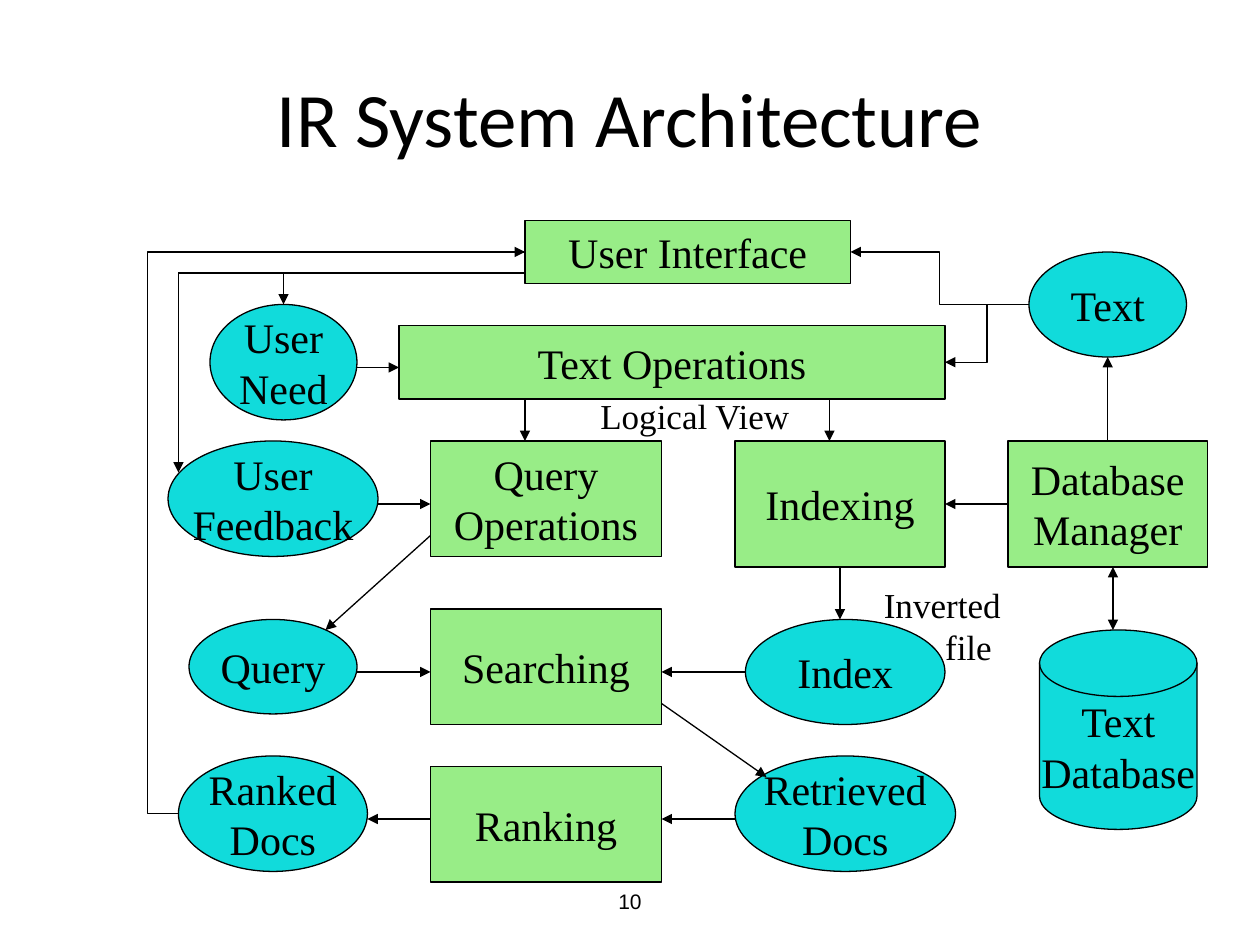
from pptx import Presentation
from pptx.dml.color import RGBColor
from pptx.enum.shapes import MSO_CONNECTOR as Route, MSO_SHAPE as Preset
from pptx.enum.text import MSO_ANCHOR as Anchor, PP_ALIGN as Align
from pptx.oxml.ns import qn
from pptx.util import Pt
from lxml.etree import SubElement

COLOURS = {"ink": "000000", "process": "98ED87", "data": "11DBDB"}
SERIF = "Times New Roman"


def colour(name):
    return RGBColor.from_string(COLOURS[name])


class Diagram:
    """Holds the style and the slide; every length is in points."""

    def __init__(self, page):
        self.page = page
        self.line_width = Pt(0.75)
        self.label = {"name": SERIF, "size": Pt(24)}

    def fill_text(self, frame, text, font, align, anchor, wrap, indents=()):
        frame.word_wrap = wrap
        frame.vertical_anchor = anchor
        for index, words in enumerate(text.split("\n")):
            para = frame.paragraphs[0] if index == 0 else frame.add_paragraph()
            para.alignment = align
            if index < len(indents):
                properties = para._p.get_or_add_pPr()
                properties.set("marL", str(int(Pt(indents[index]))))
                properties.set("indent", "0")
            span = para.add_run()
            span.text = words
            for key, value in font.items():
                setattr(span.font, key, value)
            span.font.color.rgb = colour("ink")

    def text(self, words, at, font, align=Align.CENTER, anchor=Anchor.MIDDLE,
             wrap=True, indents=()):
        box = self.page.shapes.add_textbox(*map(Pt, at))
        self.fill_text(box.text_frame, words, font, align, anchor, wrap, indents)

    def note(self, words, at, indents=()):
        self.text(words, at, {"name": SERIF, "size": Pt(20)}, Align.LEFT,
                  Anchor.TOP, False, indents)

    def node(self, preset, fill, words, at):
        shape = self.page.shapes.add_shape(preset, *map(Pt, at))
        shape.shadow.inherit = False
        shape.fill.solid()
        shape.fill.fore_color.rgb = colour(fill)
        shape.line.color.rgb = colour("ink")
        shape.line.width = self.line_width
        self.fill_text(shape.text_frame, words, self.label, Align.CENTER,
                       Anchor.MIDDLE, False)

    def process(self, words, *at):
        self.node(Preset.RECTANGLE, "process", words, at)

    def data(self, words, *at):
        self.node(Preset.OVAL, "data", words, at)

    def store(self, words, *at):
        self.node(Preset.FLOWCHART_MAGNETIC_DISK, "data", words, at)

    def link(self, *ends, heads=("tailEnd",), route=Route.STRAIGHT, bend=None):
        """Join two points; bend is the elbow's place as a share of the width."""
        link = self.page.shapes.add_connector(route, *map(Pt, ends))
        link.line.color.rgb = colour("ink")
        link.line.width = self.line_width
        properties = link._element.spPr
        for head in heads:
            SubElement(properties.find(qn("a:ln")), qn(f"a:{head}"), type="triangle")
        SubElement(properties, qn("a:effectLst"))
        if bend is not None:
            geometry = properties.find(qn("a:prstGeom"))
            guides = geometry.find(qn("a:avLst"))
            if guides is None:
                guides = SubElement(geometry, qn("a:avLst"))
            SubElement(guides, qn("a:gd"), name="adj1",
                       fmla=f"val {round(bend * 100000)}")

    def elbow(self, *ends, bend=0.5):
        self.link(*ends, route=Route.ELBOW, bend=bend)


def main():
    deck = Presentation()
    deck.slide_width, deck.slide_height = Pt(720), Pt(540)
    diagram = Diagram(deck.slides.add_slide(deck.slide_layouts[6]))

    diagram.text("10", (246, 500.5, 228, 28.75), {"name": "Arial", "size": Pt(12)})
    diagram.text("IR System Architecture", (36, 21.6, 648, 90),
                 {"name": "Calibri", "size": Pt(44)})

    diagram.store("Text\nDatabase", 594, 360, 90, 114)

    for words, *at in (
        ("User Interface", 300, 126, 186, 36),
        ("Text Operations", 228, 186, 312, 42),
        ("Query\nOperations", 246, 252, 132, 66),
        ("Searching", 246, 348, 132, 66),
        ("Ranking", 246, 438, 132, 66),
        ("Indexing", 420, 252, 120, 72),
        ("Database\nManager", 576, 252, 114, 72),
    ):
        diagram.process(words, *at)

    for words, *at in (
        ("User\nNeed", 120, 174, 84, 66),
        ("User\nFeedback", 96, 252, 120, 66),
        ("Query", 108, 354, 96, 54),
        ("Ranked\nDocs", 102, 432, 108, 66),
        ("Retrieved\nDocs", 420, 432, 126, 66),
        ("Index", 426, 354, 114, 60),
        ("Text", 588, 144, 90, 60),
    ):
        diagram.data(words, *at)

    for ends in (
        (204, 210, 228, 210),  # user need to text operations
        (300, 228, 300, 252),  # text operations to query operations
        (474, 228, 474, 252),  # text operations to indexing
        (216, 288, 246, 288),  # user feedback to query operations
        (246, 306, 186, 360),  # query operations to query
        (204, 384, 246, 384),  # query to searching
        (426, 384, 378, 384),  # index to searching
        (378, 402, 438, 444),  # searching to retrieved docs
        (420, 468, 378, 468),  # retrieved docs to ranking
        (246, 468, 210, 468),  # ranking to ranked docs
        (480, 324, 480, 354),  # indexing to index
        (576, 288, 540, 288),  # database manager to indexing
        (633, 252, 633, 204),  # database manager to text
        (162, 156, 162, 174),  # user interface to user need
        (102, 156, 102, 270),  # user interface to user feedback
    ):
        diagram.link(*ends)
    diagram.link(636, 324, 636, 360, heads=("headEnd", "tailEnd"))
    for level in (144, 156):
        diagram.link(300, level, 102, level, heads=())

    diagram.elbow(588, 174, 486, 144)
    diagram.elbow(588, 174, 540, 207)
    diagram.elbow(102, 465, 300, 144, bend=-0.09)

    diagram.note("Logical View", (336, 222, 124, 31))
    diagram.note("Inverted\nfile", (498, 330, 81, 55.5), indents=(0, 35))

    deck.save("out.pptx")


if __name__ == "__main__":
    main()
